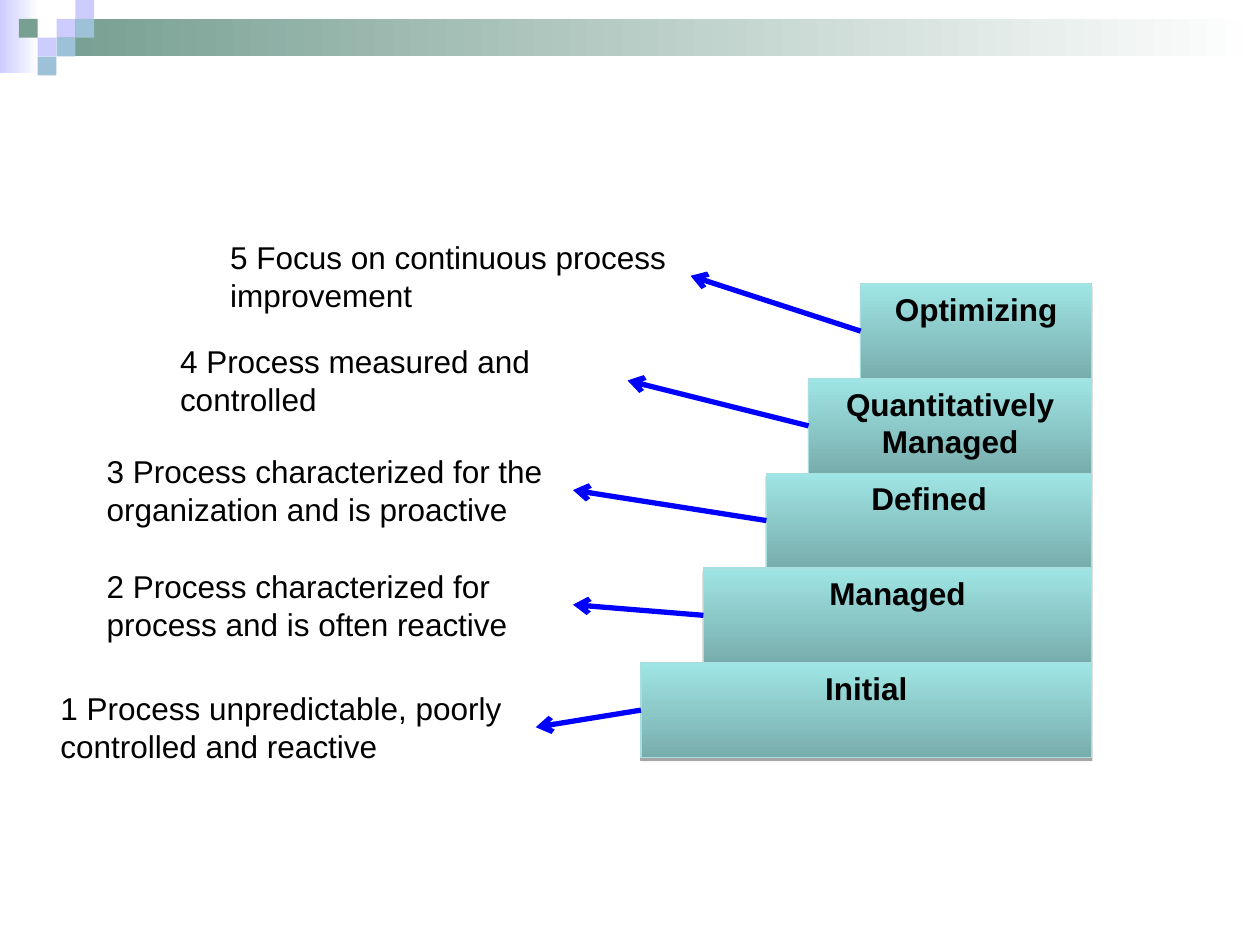
from lxml.etree import SubElement
from pptx import Presentation
from pptx.dml.color import RGBColor
from pptx.enum.shapes import MSO_CONNECTOR, MSO_SHAPE
from pptx.enum.text import MSO_ANCHOR, MSO_AUTO_SIZE, PP_ALIGN
from pptx.oxml.ns import qn
from pptx.util import Cm, Pt

COLORS = {
    "lilac": "CCCCFF", "green": "779F92", "sky": "9DC2D7", "white": "FFFFFF",
    "teal_dark": "79ADAD", "teal_light": "9FE5E5", "teal_line": "A8DEDE",
    "arrow": "0000FF", "text": "000000",
}
UNIT = 0.38
STEP_TOP, STEP_HEIGHT, STEP_RIGHT = 5.72, 1.91, 22.01
NOTE_HEIGHT = 1.78

SQUARES = [
    (2, 1, "lilac"), (3, 0, "lilac"), (3, 1, "sky"), (1, 2, "lilac"),
    (0, 1, "green"), (2, 2, "sky"), (1, 3, "sky"),
]
LEVELS = [
    ("Optimizing", 17.35,
     "5 Focus on continuous process improvement", 4.39, 4.67, 9.53),
    ("Quantitatively Managed", 16.3,
     "4 Process measured and controlled", 3.38, 6.78, 9.27),
    ("Defined", 15.45,
     "3 Process characterized for the organization and is proactive", 1.9, 8.99, 9.65),
    ("Managed", 14.18,
     "2 Process characterized for process and is often reactive", 1.9, 11.3, 9.65),
    ("Initial", 12.92,
     "1 Process unpredictable, poorly controlled and reactive", 0.97, 13.77, 9.83),
]


def rgb(name):
    return RGBColor.from_string(COLORS[name])


def write_text(sp, text, size=18, bold=False, color="text", align=PP_ALIGN.LEFT):
    tf = sp.text_frame
    tf.word_wrap = True
    tf.vertical_anchor = MSO_ANCHOR.TOP
    p = tf.paragraphs[0]
    p.alignment = align
    r = p.add_run()
    r.text = text
    r.font.name = "Arial"
    r.font.size = Pt(size)
    r.font.bold = bold
    r.font.color.rgb = rgb(color)


def add_rect(s, left, top, width, height, *fills, angle=0):
    sp = s.shapes.add_shape(
        MSO_SHAPE.RECTANGLE, Cm(left), Cm(top), Cm(width), Cm(height))
    sp.shadow.inherit = False
    sp.line.fill.background()
    if len(fills) == 1:
        sp.fill.solid()
        sp.fill.fore_color.rgb = rgb(fills[0])
    else:
        sp.fill.gradient()
        sp.fill.gradient_angle = angle
        for stop, name in zip(sp.fill.gradient_stops, fills):
            stop.color.rgb = rgb(name)
    return sp


def add_shadow(sp):
    effects = sp._element.spPr.find(qn("a:effectLst"))
    shadow = SubElement(effects, qn("a:outerShdw"), blurRad="0",
                        dist=str(Pt(1.8)), dir="5400000", rotWithShape="0")
    color = SubElement(shadow, qn("a:srgbClr"), val=COLORS["text"])
    SubElement(color, qn("a:alpha"), val="35000")


def add_step(s, label, left, top):
    sp = add_rect(s, left, top, STEP_RIGHT - left, STEP_HEIGHT,
                  "teal_dark", "teal_light", angle=90)
    sp.line.color.rgb = rgb("teal_line")
    sp.line.width = Pt(0.75)
    add_shadow(sp)
    write_text(sp, label, bold=True, align=PP_ALIGN.CENTER)
    return sp


def add_note(s, text, left, top, width):
    sp = s.shapes.add_textbox(Cm(left), Cm(top), Cm(width), Cm(NOTE_HEIGHT))
    write_text(sp, text)
    sp.text_frame.auto_size = MSO_AUTO_SIZE.SHAPE_TO_FIT_TEXT
    return sp


def add_arrow(s, step, note):
    cxn = s.shapes.add_connector(MSO_CONNECTOR.STRAIGHT, 0, 0, 0, 0)
    cxn.begin_connect(step, 1)
    cxn.end_connect(note, 3)
    cxn.line.color.rgb = rgb("arrow")
    cxn.line.width = Pt(3)
    SubElement(cxn.line._get_or_add_ln(), qn("a:tailEnd"), type="arrow")
    SubElement(cxn._element.spPr, qn("a:effectLst"))


def add_banner(s):
    add_rect(s, 0, 0, 0.79, 1.47, "lilac", "white")
    add_rect(s, 3 * UNIT, UNIT, 25.4 - 3 * UNIT, 2 * UNIT, "green", "white")
    for col, row, color in SQUARES:
        add_rect(s, (col + 1) * UNIT, row * UNIT, UNIT, UNIT, color)


def main():
    prs = Presentation()
    prs.slide_width, prs.slide_height = Cm(25.4), Cm(19.05)
    s = prs.slides.add_slide(prs.slide_layouts[6])
    add_banner(s)
    steps = [add_step(s, label, left, STEP_TOP + i * STEP_HEIGHT)
             for i, (label, left, *_) in enumerate(LEVELS)]
    notes = [add_note(s, *note) for _, _, *note in LEVELS]
    for step, note in zip(steps, notes):
        add_arrow(s, step, note)
    prs.save("out.pptx")


if __name__ == "__main__":
    main()
